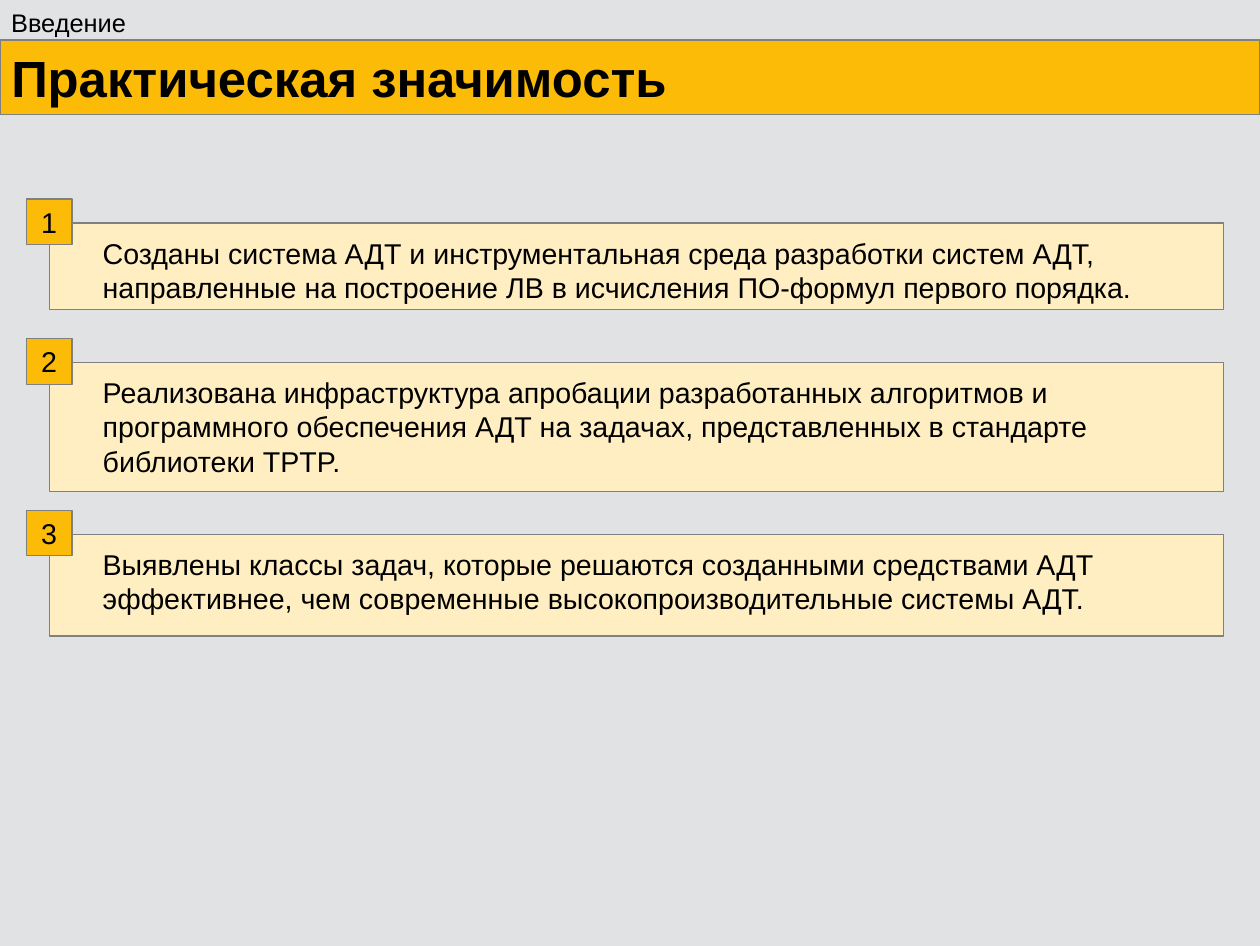
from dataclasses import dataclass

from pptx import Presentation
from pptx.dml.color import RGBColor
from pptx.enum.shapes import MSO_SHAPE
from pptx.enum.text import MSO_ANCHOR, MSO_AUTO_SIZE, PP_ALIGN
from pptx.shapes.autoshape import Shape
from pptx.slide import Slide
from pptx.util import Inches, Length, Pt

RECTANGLE = MSO_SHAPE.RECTANGLE
MIDDLE = MSO_ANCHOR.MIDDLE
TOP = MSO_ANCHOR.TOP
GROW = MSO_AUTO_SIZE.SHAPE_TO_FIT_TEXT
LEFT = PP_ALIGN.LEFT
CENTER = PP_ALIGN.CENTER
BLANK_LAYOUT = 6

CELLS_PER_INCH = 10
PAGE_COLUMNS = 110.2
PAGE_ROWS = 82.7
CARD_COLUMN = 4.3
CARD_COLUMNS = 102.7
BADGE_SIDE = 4
BADGE_SHIFT = (-2, -2.1)
TEXT_SHIFT = (3.7, 0.6)
LINE_ROWS = 3.1
PADDING_ROWS = 1


@dataclass(frozen=True)
class Theme:
    font: str = "Arial"
    background: RGBColor = RGBColor(0xE1, 0xE2, 0xE4)
    accent: RGBColor = RGBColor(0xFC, 0xBB, 0x06)
    card: RGBColor = RGBColor(0xFF, 0xEE, 0xC1)
    outline: RGBColor = RGBColor(0x80, 0x80, 0x80)
    ink: RGBColor = RGBColor(0x00, 0x00, 0x00)
    title_size: int = 32
    section_size: int = 16
    body_size: int = 18


@dataclass(frozen=True)
class Area:
    column: float
    row: float
    columns: float
    rows: float

    def lengths(self) -> tuple[Length, ...]:
        return tuple(cells(value) for value in (self.column, self.row, self.columns, self.rows))


@dataclass(frozen=True)
class Card:
    row: float
    rows: float
    text_columns: float
    lines: tuple[str, ...]


THEME = Theme()
CARDS = (
    Card(19.5, 7.6, 92.4, (
        "Созданы система АДТ и инструментальная среда разработки систем АДТ,",
        "направленные на построение ЛВ в исчисления ПО-формул первого порядка.",
    )),
    Card(31.7, 11.3, 88.8, (
        "Реализована инфраструктура апробации разработанных алгоритмов и",
        "программного обеспечения АДТ на задачах, представленных в стандарте",
        "библиотеки TPTP.",
    )),
    Card(46.7, 8.9, 89.4, (
        "Выявлены классы задач, которые решаются созданными средствами АДТ",
        "эффективнее, чем современные высокопроизводительные системы АДТ.",
    )),
)


def cells(count: float) -> Length:
    return Inches(count / CELLS_PER_INCH)


def write_text(box: Shape, *lines: str, size: int, bold: bool = False,
               align: PP_ALIGN = LEFT, anchor: MSO_ANCHOR = TOP, wrap: bool = True) -> None:
    frame = box.text_frame
    frame.word_wrap = wrap
    frame.vertical_anchor = anchor
    for index, line in enumerate(lines):
        para = frame.add_paragraph() if index else frame.paragraphs[0]
        para.alignment = align
        span = para.add_run()
        span.text = line
        span.font.name = THEME.font
        span.font.size = Pt(size)
        span.font.bold = bold
        span.font.color.rgb = THEME.ink


def add_panel(page: Slide, area: Area, fill: RGBColor) -> Shape:
    box = page.shapes.add_shape(RECTANGLE, *area.lengths())
    box.shadow.inherit = False
    box.fill.solid()
    box.fill.fore_color.rgb = fill
    box.line.color.rgb = THEME.outline
    box.line.width = Pt(0)
    return box


def add_label(page: Slide, area: Area, *lines: str, size: int) -> None:
    box = page.shapes.add_textbox(*area.lengths())
    write_text(box, *lines, size=size)
    box.text_frame.auto_size = GROW


def add_card(page: Slide, number: int, card: Card) -> None:
    add_panel(page, Area(CARD_COLUMN, card.row, CARD_COLUMNS, card.rows), THEME.card)
    text_rows = PADDING_ROWS + LINE_ROWS * len(card.lines)
    text_area = Area(CARD_COLUMN + TEXT_SHIFT[0], card.row + TEXT_SHIFT[1],
                     card.text_columns, text_rows)
    add_label(page, text_area, *card.lines, size=THEME.body_size)
    badge_area = Area(CARD_COLUMN + BADGE_SHIFT[0], card.row + BADGE_SHIFT[1],
                      BADGE_SIDE, BADGE_SIDE)
    badge = add_panel(page, badge_area, THEME.accent)
    write_text(badge, str(number), size=THEME.body_size, align=CENTER,
               anchor=MIDDLE, wrap=False)


def main() -> None:
    deck = Presentation()
    deck.slide_width = cells(PAGE_COLUMNS)
    deck.slide_height = cells(PAGE_ROWS)
    page = deck.slides.add_slide(deck.slide_layouts[BLANK_LAYOUT])
    page.background.fill.solid()
    page.background.fill.fore_color.rgb = THEME.background

    title = add_panel(page, Area(0, 3.5, PAGE_COLUMNS, 6.5), THEME.accent)
    write_text(title, "Практическая значимость", size=THEME.title_size,
               bold=True, anchor=MIDDLE)
    add_label(page, Area(0, 0.1, 13, 3.8), "Введение", size=THEME.section_size)
    for number, card in enumerate(CARDS, start=1):
        add_card(page, number, card)

    deck.save("out.pptx")


if __name__ == "__main__":
    main()
